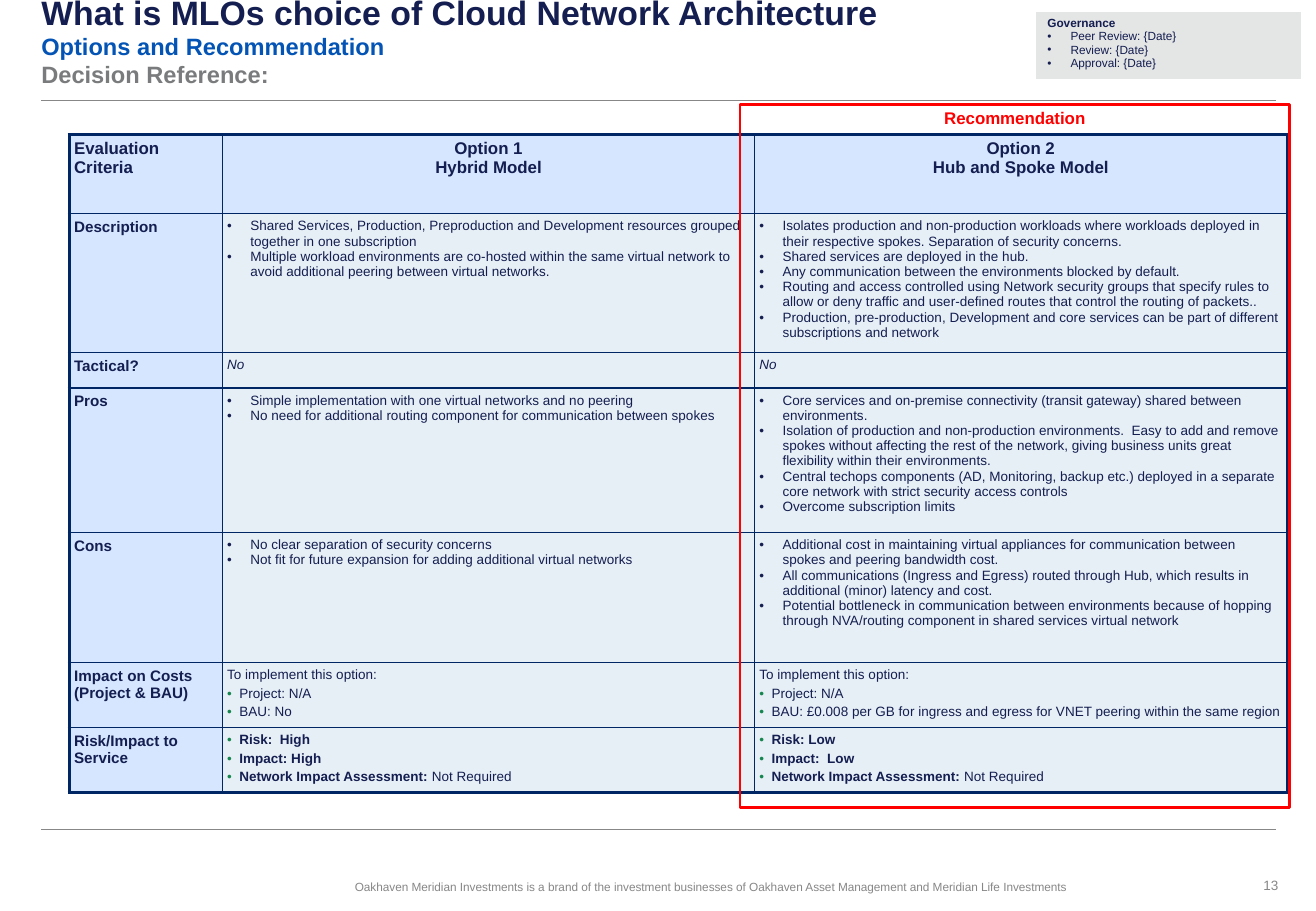
"""Build the network architecture options and recommendation slide."""
from lxml.etree import SubElement
from pptx import Presentation
from pptx.dml.color import RGBColor
from pptx.enum.shapes import MSO_CONNECTOR as CONN, MSO_SHAPE as SHAPE
from pptx.enum.text import MSO_ANCHOR as ANCHOR, PP_ALIGN as ALIGN
from pptx.oxml.ns import qn
from pptx.util import Inches, Pt

NAVY, BORDER, GREY, RED, GREEN = "141E50", "002663", "878787", "FF0000", "15864F"
HEAD_FILL, BODY_FILL, GOV_FILL = "D6E6FF", "E6EFF5", "E4E5E5"

TITLE = [
    ("What is MLOs choice of Cloud Network Architecture", 20, NAVY),
    ("Options and Recommendation", 14, "0354B5"),
    ("Decision Reference:", 14, "797B7D"),
]
FOOTER = ("Oakhaven Meridian Investments is a brand of the investment businesses of "
          "Oakhaven Asset Management and Meridian Life Investments")
GOVERNANCE = ["Peer Review: {Date}", "Review: {Date}", "Approval: {Date}"]

COLS = [1.26, 4.38, 4.38]
ROWS = [
    (0.65, "header", ["Evaluation", "Criteria"],
     ["Option 1", "Hybrid Model"],
     ["Option 2", "Hub and Spoke Model"]),
    (1.08, "list", ["Description"],
     ["Shared Services, Production, Preproduction and Development resources grouped "
      "together in one subscription",
      "Multiple workload environments are co-hosted within the same virtual network to "
      "avoid additional peering between virtual networks."],
     ["Isolates production and non-production workloads where workloads deployed in "
      "their respective spokes. Separation of security concerns.",
      "Shared services are deployed in the hub.",
      "Any communication between the environments blocked by default.",
      "Routing and access controlled using Network security groups that specify rules to "
      "allow or deny traffic and user-defined routes that control the routing of packets..",
      "Production, pre-production, Development and core services can be part of different "
      "subscriptions and network"]),
    (0.29, "note", ["Tactical?"], ["No"], ["No"]),
    (1.19, "list", ["Pros"],
     ["Simple implementation with one virtual networks and no peering",
      "No need for additional routing component for communication between spokes"],
     ["Core services and on-premise connectivity (transit gateway) shared between "
      "environments.",
      "Isolation of production and non-production environments.  Easy to add and remove "
      "spokes without affecting the rest of the network, giving business units great "
      "flexibility within their environments.",
      "Central techops components (AD, Monitoring, backup etc.) deployed in a separate "
      "core network with strict security access controls",
      "Overcome subscription limits"]),
    (1.07, "list", ["Cons"],
     ["No clear separation of security concerns",
      "Not fit for future expansion for adding additional virtual networks"],
     ["Additional cost in maintaining virtual appliances for communication between "
      "spokes and peering bandwidth cost.",
      "All communications (Ingress and Egress) routed through Hub, which results in "
      "additional (minor) latency and cost.",
      "Potential bottleneck in communication between environments because of hopping "
      "through NVA/routing component in shared services virtual network"]),
    (0.51, "cost", ["Impact on Costs (Project & BAU)"],
     ["To implement this option:", "Project: N/A", "BAU: No"],
     ["To implement this option:", "Project: N/A",
      "BAU: £0.008 per GB for ingress and egress for VNET peering within the same region"]),
    (0.52, "risk", ["Risk/Impact to Service"],
     ["Risk:  High", "Impact: High", "Network Impact Assessment:| Not Required"],
     ["Risk: Low", "Impact:  Low", "Network Impact Assessment:| Not Required"]),
]
LIST = dict(size=8, indent=0.19)
SHORT = dict(size=8, indent=0.1, bullet=GREEN, before=2)
STYLES = {
    "header": dict(size=10, bold=True, align=ALIGN.CENTER),
    "list": LIST,
    "note": dict(size=8, italic=True),
    "cost": SHORT,
    "risk": dict(SHORT, bold=True),
}


def rgb(value):
    return RGBColor.from_string(value)


def fill(target, color):
    target.fill.solid()
    target.fill.fore_color.rgb = rgb(color)


def add_paragraph(tf, text, size, color=NAVY, bold=False, italic=False,
                  align=ALIGN.LEFT, indent=0, bullet=None, before=0):
    p = tf.paragraphs[0]
    if p.runs:
        p = tf.add_paragraph()
        p.space_before = Pt(before)
    p.alignment = align
    for i, part in enumerate(text.split("|")):
        r = p.add_run()
        r.text = part
        font = r.font
        font.name, font.size, font.color.rgb = "Arial", Pt(size), rgb(color)
        font.bold, font.italic = bold and i == 0, italic
    if indent:
        pPr = p._p.get_or_add_pPr()
        pPr.set("marL", str(Inches(indent)))
        pPr.set("indent", str(-Inches(indent)))
        if bullet:
            SubElement(SubElement(pPr, qn("a:buClr")), qn("a:srgbClr"), val=bullet)
        SubElement(pPr, qn("a:buFont"), typeface="Arial")
        SubElement(pPr, qn("a:buChar"), char="•")


def set_margins(target, x, y):
    target.margin_left = target.margin_right = Inches(x)
    target.margin_top = target.margin_bottom = Inches(y)


def add_text(s, box, anchor=ANCHOR.TOP, margin=0):
    tf = s.shapes.add_textbox(*map(Inches, box)).text_frame
    tf.word_wrap, tf.vertical_anchor = True, anchor
    set_margins(tf, 0, margin)
    return tf


def add_rule(s, y):
    line = s.shapes.add_connector(CONN.STRAIGHT, Inches(0.34), Inches(y), Inches(10.5), Inches(y))
    line.line.color.rgb, line.line.width = rgb(GREY), Pt(0.75)
    SubElement(line._element.spPr, qn("a:effectLst"))


def add_grid(s, left, top, cols, rows):
    box = (left, top, sum(cols), sum(rows))
    table = s.shapes.add_table(len(rows), len(cols), *map(Inches, box)).table
    table.first_row = table.horz_banding = False
    for col, width in zip(table.columns, cols):
        col.width = Inches(width)
    for row, height in zip(table.rows, rows):
        row.height = Inches(height)
    return table


def set_borders(cell, heavy):
    tcPr = cell._tc.get_or_add_tcPr()
    for i, side in enumerate("LRTB"):
        width = Pt(2.25 if side in heavy else 1)
        ln = SubElement(tcPr, qn("a:ln" + side), w=str(width))
        SubElement(SubElement(ln, qn("a:solidFill")), qn("a:srgbClr"), val=BORDER)
        tcPr.insert(i, ln)


prs = Presentation()
prs.slide_width, prs.slide_height = Inches(10.83), Inches(7.5)
s = prs.slides.add_slide(prs.slide_layouts[6])

add_paragraph(add_text(s, (10.19, 7.22, 0.33, 0.13), ANCHOR.BOTTOM), "13", 8, GREY,
              align=ALIGN.RIGHT)
for y in (6.83, 0.83):
    add_rule(s, y)
add_paragraph(add_text(s, (2.92, 7.24, 6.3, 0.12)), FOOTER, 7, GREY)

tf = add_text(s, (0.34, -0.12, 10.16, 0.89), ANCHOR.BOTTOM, 0.04)
for text, size, color in TITLE:
    add_paragraph(tf, text, size, color, bold=True)

cell = add_grid(s, 8.52, 0.09, [2.19], [0.54]).cell(0, 0)
fill(cell, GOV_FILL)
add_paragraph(cell.text_frame, "Governance", 7, bold=True)
for text in GOVERNANCE:
    add_paragraph(cell.text_frame, text, 7, indent=0.19)

table = add_grid(s, 0.57, 1.11, COLS, [row[0] for row in ROWS])
for i, (_, kind, *cells) in enumerate(ROWS):
    for j, lines in enumerate(cells):
        cell = table.cell(i, j)
        set_margins(cell, 0.04, 0.04)
        fill(cell, HEAD_FILL if i == 0 or j == 0 else BODY_FILL)
        set_borders(cell, "L" * (j == 0) + "T" * (i == 0) + "B" * (i == len(ROWS) - 1))
        for k, text in enumerate(lines):
            style = dict(STYLES[kind])
            if j == 0:
                style = dict(size=9 if i else 10, bold=True)
            elif kind == "cost" and k == 0:
                style["indent"] = 0
            add_paragraph(cell.text_frame, text, **style)

sp = s.shapes.add_shape(SHAPE.RECTANGLE, *map(Inches, (6.09, 0.86, 4.52, 5.79)))
sp.shadow.inherit = False
sp.fill.background()
sp.line.color.rgb, sp.line.width = rgb(RED), Pt(1.5)
tf = sp.text_frame
tf.word_wrap, tf.vertical_anchor = False, ANCHOR.TOP
set_margins(tf, 0.07, 0.03)
add_paragraph(tf, "Recommendation", 10, RED, bold=True, align=ALIGN.CENTER)

prs.save("out.pptx")
